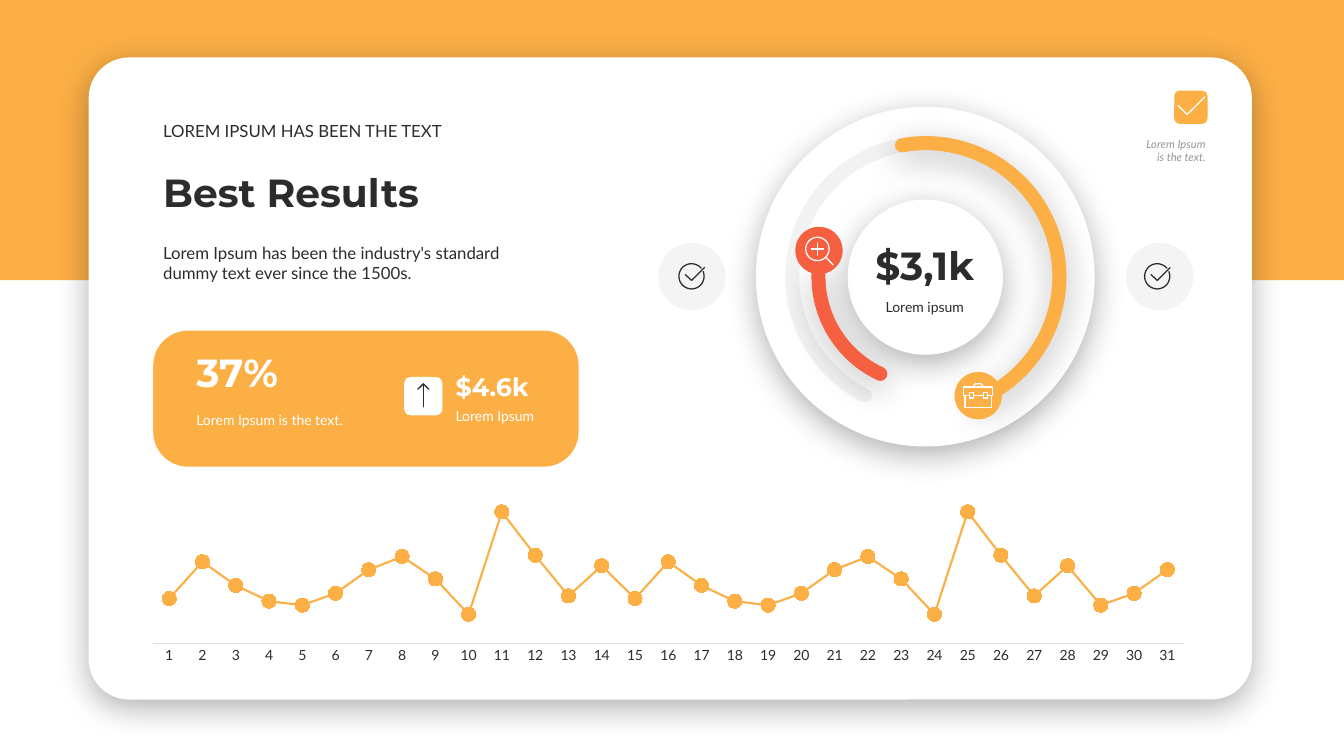
from dataclasses import dataclass
from math import cos, radians, sin

from lxml import etree
from pptx import Presentation
from pptx.chart.data import CategoryChartData
from pptx.dml.color import RGBColor
from pptx.enum.chart import XL_CHART_TYPE, XL_MARKER_STYLE, XL_TICK_MARK
from pptx.enum.shapes import MSO_SHAPE
from pptx.enum.text import MSO_ANCHOR, MSO_AUTO_SIZE, PP_ALIGN
from pptx.oxml.ns import qn
from pptx.util import Emu, Pt

PX = 9144  # 100 px to the inch
RECT, ROUND = MSO_SHAPE.RECTANGLE, MSO_SHAPE.ROUNDED_RECTANGLE
OVAL, ARC = MSO_SHAPE.OVAL, MSO_SHAPE.ARC
TOP, BOTTOM = MSO_ANCHOR.TOP, MSO_ANCHOR.BOTTOM
LEFT, CENTER, RIGHT = PP_ALIGN.LEFT, PP_ALIGN.CENTER, PP_ALIGN.RIGHT
ORANGE, RED, DARK, WHITE = "FCAF45", "F56040", "2C2C2C", "FFFFFF"
GREY, AXIS_GREY = "969696", "DFDFDF"
BODY, HEADING = "Lato", "Montserrat"

Box = tuple[int, int, int, int]
Point = tuple[int, int]


@dataclass
class Panel:
    kind: MSO_SHAPE
    box: Box
    color: str
    corner: float | None = None
    alpha: int = 100
    shadow: bool = False


@dataclass
class Ring:
    box: Box
    color: str
    start: float  # degrees, clockwise from the right
    end: float
    alpha: int = 100
    shadow: bool = False


@dataclass
class Icon:
    corner: Point
    color: str
    strokes: list[list[Point]]  # tenths of px from the corner


@dataclass
class Label:
    box: Box
    text: str
    color: str
    size: int
    font: str = BODY
    bold: bool = False
    italic: bool = False
    align: PP_ALIGN = LEFT
    anchor: MSO_ANCHOR = TOP
    side_inset: int = 10
    after: int = 0


def rgb(color: str) -> RGBColor:
    return RGBColor.from_string(color)


def emu(box: Box) -> list[Emu]:
    return [Emu(length * PX) for length in box]


def paint(fill, color: str, alpha: int = 100) -> None:
    fill.solid()
    fill.fore_color.rgb = rgb(color)
    if alpha < 100:
        tint = fill._xPr.find(f".//{qn('a:srgbClr')}")
        etree.SubElement(tint, qn("a:alpha"), val=str(alpha * 1000))


def set_shadow(shape, shown: bool) -> None:
    shape.shadow.inherit = False
    if shown:
        effects = shape.element.spPr.find(qn("a:effectLst"))
        outer = etree.SubElement(effects, qn("a:outerShdw"), blurRad=str(Pt(23)), dist=str(Pt(6)),
                                 dir="5400000", algn="t", rotWithShape="0")
        tint = etree.SubElement(outer, qn("a:srgbClr"), val="000000")
        etree.SubElement(tint, qn("a:alpha"), val="30000")


def set_stroke(shape, color: str, width: float, alpha: int = 100) -> None:
    shape.fill.background()
    shape.line.width = Pt(width)
    paint(shape.line.fill, color, alpha)
    shape.element.spPr.find(qn("a:ln")).set("cap", "rnd")


def draw_panel(page, panel: Panel) -> None:
    shape = page.shapes.add_shape(panel.kind, *emu(panel.box))
    if panel.corner is not None:
        shape.adjustments[0] = panel.corner
    paint(shape.fill, panel.color, panel.alpha)
    shape.line.fill.background()
    set_shadow(shape, panel.shadow)


def draw_ring(page, ring: Ring) -> None:
    shape = page.shapes.add_shape(ARC, *emu(ring.box))
    for index, angle in enumerate((ring.start, ring.end)):
        shape.adjustments[index] = angle * 0.6
    set_stroke(shape, ring.color, 10, ring.alpha)
    set_shadow(shape, ring.shadow)


def draw_icon(page, icon: Icon) -> None:
    builder = page.shapes.build_freeform(*icon.strokes[0][0], scale=PX / 10)
    for stroke in icon.strokes:
        builder.move_to(*stroke[0])
        builder.add_line_segments(stroke[1:], close=False)
    shape = builder.convert_to_shape(*(Emu(length * PX) for length in icon.corner))
    set_stroke(shape, icon.color, 0.9)
    set_shadow(shape, False)


def draw_label(page, label: Label) -> None:
    frame = page.shapes.add_textbox(*emu(label.box)).text_frame
    side, edge = Emu(label.side_inset * PX), Emu(5 * PX)
    layout = {"word_wrap": True, "auto_size": MSO_AUTO_SIZE.SHAPE_TO_FIT_TEXT,
              "vertical_anchor": label.anchor, "margin_left": side, "margin_right": side,
              "margin_top": edge, "margin_bottom": edge}
    for name, value in layout.items():
        setattr(frame, name, value)
    para = frame.paragraphs[0]
    para.alignment, para.space_after = label.align, Pt(label.after)
    span = para.add_run()
    span.text = label.text
    look = {"name": label.font, "size": Pt(label.size), "bold": label.bold, "italic": label.italic}
    for name, value in look.items():
        setattr(span.font, name, value)
    span.font.color.rgb = rgb(label.color)


def draw_chart(page, box: Box, values: list[int]) -> None:
    data = CategoryChartData()
    data.categories = [str(day + 1) for day in range(len(values))]
    data.add_series("Series 1", values)
    chart = page.shapes.add_chart(XL_CHART_TYPE.LINE_MARKERS_STACKED, *emu(box), data).chart
    chart.has_legend = chart.has_title = False
    chart.font.name, chart.font.size = BODY, Pt(10)
    chart.font.color.rgb = rgb(DARK)
    days, amounts = chart.category_axis, chart.value_axis
    days.major_tick_mark = days.minor_tick_mark = XL_TICK_MARK.NONE
    days.format.line.width = Pt(0.75)
    days.format.line.color.rgb = rgb(AXIS_GREY)
    amounts.visible = amounts.has_major_gridlines = False
    amounts.minimum_scale, amounts.maximum_scale = 0, 120
    chart.plots[0].vary_by_categories = False
    series = chart.plots[0].series[0]
    series.smooth = False
    series.format.line.width = Pt(1.5)
    series.marker.style, series.marker.size = XL_MARKER_STYLE.CIRCLE, 10
    paint(series.marker.format.fill, ORANGE)
    for line in (series.format.line, series.marker.format.line):
        line.color.rgb = rgb(ORANGE)
    # Fixed plot area, as shares of the chart
    plot = chart.element.find(f".//{qn('c:plotArea')}")
    for old in plot.findall(qn("c:layout")):
        plot.remove(old)
    layout = etree.Element(qn("c:layout"))
    plot.insert(0, layout)
    manual = etree.SubElement(layout, qn("c:manualLayout"))
    for tag, value in {"layoutTarget": "inner", "xMode": "edge", "yMode": "edge",
                       "x": 0.02, "y": 0.01, "w": 0.96, "h": 0.85}.items():
        etree.SubElement(manual, qn(f"c:{tag}"), val=str(value))


def curve(middle: int, radius: int, start: int, end: int) -> list[Point]:
    return [(round(middle + radius * cos(radians(a))), round(middle + radius * sin(radians(a))))
            for a in range(start, end + 1, 6)]


def clasp(left: int) -> list[Point]:
    return [(left, 95), (left + 40, 95), (left + 40, 150), (left, 150), (left, 95)]


# Icon outlines
CHECK_RING = [curve(131, 125, -22, 320), [(70, 115), (132, 172), (258, 45)]]
TICK = [[(5, 95), (98, 185), (275, 10)]]
ARROW = [[(60, 235), (60, 10)], [(5, 62), (60, 8), (115, 62)]]
MAGNIFIER = [curve(120, 116, 0, 360), [(202, 202), (275, 277)],
             [(60, 120), (180, 120)], [(120, 60), (120, 180)]]
BRIEFCASE = [[(68, 125), (8, 125), (8, 40), (300, 40), (300, 125), (245, 125)],
             [(108, 125), (205, 125)], [(25, 125), (25, 245), (285, 245), (285, 125)],
             [(100, 40), (125, 8), (185, 8), (210, 40)], clasp(68), clasp(205)]

PARTS = [
    # Background band and card
    Panel(RECT, (0, 0, 1334, 278), ORANGE),
    Panel(ROUND, (88, 57, 1154, 637), WHITE, corner=0.063, shadow=True),
    # Dial
    Panel(OVAL, (750, 106, 336, 337), WHITE, shadow=True),
    Ring((786, 142, 265, 265), DARK, 117.12, 66.08, alpha=5),
    Panel(OVAL, (841, 198, 154, 154), WHITE, shadow=True),
    Ring((786, 142, 265, 265), ORANGE, 259.76, 65.68, shadow=True),
    Ring((812, 168, 213, 213), RED, 115.04, 181.31, shadow=True),
    Panel(OVAL, (947, 369, 47, 47), ORANGE),
    Panel(OVAL, (789, 225, 47, 47), RED),
    Icon((955, 380), WHITE, BRIEFCASE),
    Icon((799, 235), WHITE, MAGNIFIER),
    Label((836, 291, 163, 27), "Lorem ipsum", DARK, 10, align=CENTER, after=6),
    Label((836, 234, 163, 57), "$3,1k", DARK, 28, HEADING, True, align=CENTER,
          anchor=BOTTOM, side_inset=8, after=6),
    # Check marks beside the dial
    Panel(OVAL, (1117, 241, 67, 67), DARK, alpha=5),
    Panel(OVAL, (653, 241, 67, 67), DARK, alpha=5),
    Icon((673, 261), DARK, CHECK_RING),
    Icon((1135, 261), DARK, CHECK_RING),
    # Headings
    Label((152, 236, 368, 50), "Lorem Ipsum has been the industry's standard dummy text "
          "ever since the 1500s.", DARK, 12),
    Label((152, 162, 368, 57), "Best Results", DARK, 28, HEADING, True, anchor=BOTTOM),
    Label((152, 115, 368, 30), "LOREM IPSUM HAS BEEN THE TEXT", DARK, 12, anchor=BOTTOM),
    # Corner badge
    Panel(ROUND, (1165, 90, 33, 33), ORANGE),
    Label((1124, 131, 82, 37), "Lorem Ipsum is the text.", GREY, 8, italic=True, align=RIGHT),
    Icon((1168, 95), WHITE, TICK),
    # Figures panel
    Panel(ROUND, (152, 328, 422, 135), ORANGE, corner=0.257),
    Label((185, 403, 184, 27), "Lorem Ipsum is the text.", WHITE, 10),
    Label((185, 340, 188, 57), "37%", WHITE, 28, HEADING, True, anchor=BOTTOM),
    Panel(ROUND, (401, 374, 38, 38), WHITE),
    Icon((414, 380), DARK, ARROW),
    Label((452, 399, 104, 27), "Lorem Ipsum", WHITE, 10, side_inset=0),
    Label((452, 363, 104, 40), "$4.6k", WHITE, 18, HEADING, True, anchor=BOTTOM, side_inset=0),
]
DAILY_VALUES = [34, 62, 44, 32, 29, 38, 56, 66, 49, 22, 100, 67, 36, 59, 34, 62,
                44, 32, 29, 38, 56, 66, 49, 22, 100, 67, 36, 59, 29, 38, 56]
DRAW = {Panel: draw_panel, Ring: draw_ring, Icon: draw_icon, Label: draw_label}


def main() -> None:
    deck = Presentation()
    deck.slide_width, deck.slide_height = Emu(12192000), Emu(750 * PX)
    page = deck.slides.add_slide(deck.slide_layouts[6])
    for part in PARTS:
        DRAW[type(part)](page, part)
    draw_chart(page, (130, 480, 1066, 184), DAILY_VALUES)
    deck.save("out.pptx")


if __name__ == "__main__":
    main()
